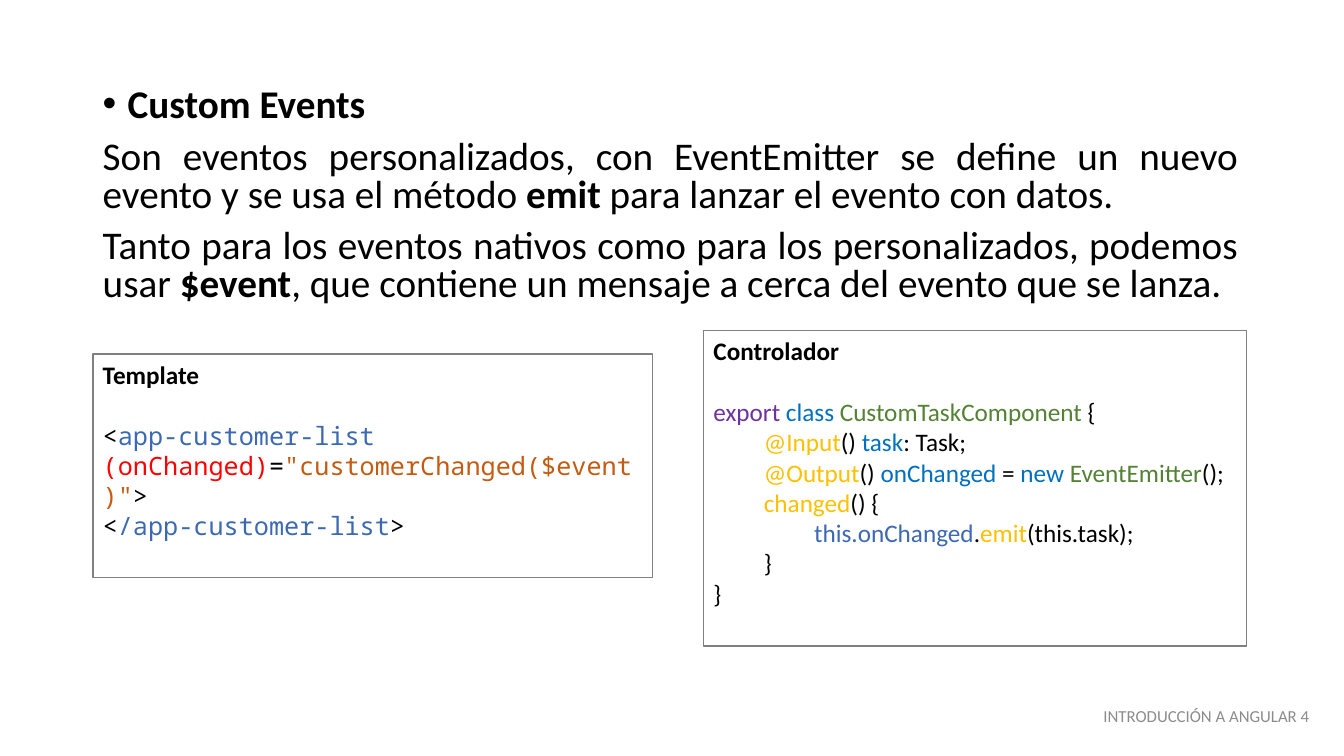
from lxml import etree
from pptx import Presentation
from pptx.dml.color import RGBColor
from pptx.enum.shapes import MSO_SHAPE
from pptx.enum.text import MSO_ANCHOR, PP_ALIGN
from pptx.oxml.ns import qn
from pptx.util import Cm, Pt

RECT = MSO_SHAPE.RECTANGLE
TOP, MIDDLE = MSO_ANCHOR.TOP, MSO_ANCHOR.MIDDLE
LEFT, RIGHT, JUSTIFY = PP_ALIGN.LEFT, PP_ALIGN.RIGHT, PP_ALIGN.JUSTIFY

THEME = {
    "font": "Calibri", "mono": "Noto Sans Mono",
    "body": 28, "code": 18, "foot": 12,
    "black": "000000", "white": "FFFFFF", "edge": "808080", "grey": "8C8C8C",
    "purple": "7030A0", "blue": "0070C0", "green": "548235", "gold": "FFC000",
    "navy": "3C69B3", "red": "FF0000", "rust": "C55A11",
}

# A run is (text, colour) or (text, colour, bold).
BODY = [
    [("Custom Events", "black", True)],
    [("Son eventos personalizados, con EventEmitter se define un nuevo evento "
      "y se usa el método ", "black"),
     ("emit ", "black", True),
     ("para lanzar el evento con datos.", "black")],
    [("Tanto para los eventos nativos como para los personalizados, podemos usar ",
      "black"),
     ("$event", "black", True),
     (", que contiene un mensaje a cerca del evento que se lanza.", "black")],
]
FOOTER = [("INTRODUCCIÓN A ANGULAR 4", "grey")]

# A code line is (indent level, runs).
CLASS = [
    (0, [("export ", "purple"), ("class ", "blue"),
         ("CustomTaskComponent", "green"), (" {", "black")]),
    (1, [("@Input", "gold"), ("() ", "black"), ("task", "blue"),
         (": Task;", "black")]),
    (1, [("@Output", "gold"), ("() ", "black"), ("onChanged", "blue"),
         (" = ", "black"), ("new ", "blue"), ("EventEmitter", "green"),
         ("();", "black")]),
    (1, [("changed", "gold"), ("() {", "black")]),
    (2, [("this.onChanged", "navy"), (".", "black"), ("emit", "gold"),
         ("(this.task);", "black")]),
    (1, [("}", "black")]),
    (0, [("}", "black")]),
]
MARKUP = [
    (0, [("<", "black"), ("app-customer-list ", "navy"), ("(onChanged)", "red"),
         ("=", "black"), ('"customerChanged($event)"', "rust"), (">", "black")]),
    (0, [("<", "black"), ("/app-customer-list", "navy"), (">", "black")]),
]
PANELS = [
    ("Controlador", CLASS, "font", (17.73, 8.33, 13.69, 7.95)),
    ("Template", MARKUP, "mono", (2.34, 8.92, 14.1, 5.64)),
]
BODY_AT = (2.34, 2.11, 29.11, 5.99)
FOOT_AT = (21.82, 17.53, 11.43, 1.02)
TAB = 1.27
HANG = 0.63
GAP = 22


def color(name):
    return RGBColor.from_string(THEME[name])


def fill_line(para, runs, size, font="font", align=LEFT):
    """Put styled runs into a paragraph."""
    para.alignment = align
    for text, tint, *bold in runs:
        run = para.add_run()
        run.text = text
        run.font.name = THEME[font]
        run.font.size = Pt(THEME[size])
        run.font.bold = bool(bold)
        run.font.color.rgb = color(tint)


def indent(para, left, first=0):
    props = para._p.get_or_add_pPr()
    props.set("marL", str(Cm(left)))
    props.set("indent", str(Cm(first)))
    return props


def add_lines(frame, count):
    """Return the given number of paragraphs of a frame."""
    for _ in range(count - 1):
        frame.add_paragraph()
    return frame.paragraphs


def add_text(slide, box, anchor=TOP):
    frame = slide.shapes.add_textbox(*map(Cm, box)).text_frame
    frame.word_wrap = True
    frame.vertical_anchor = anchor
    return frame


def add_body(slide):
    lines = add_lines(add_text(slide, BODY_AT), len(BODY))
    for para, runs in zip(lines, BODY):
        fill_line(para, runs, "body", align=JUSTIFY)
        para.line_spacing = 0.8
        para.space_before = Pt(10)
    props = indent(lines[0], HANG, -HANG)
    etree.SubElement(props, qn("a:buFont")).set("typeface", "Arial")
    etree.SubElement(props, qn("a:buChar")).set("char", "•")


def add_panel(slide, title, code, font, box):
    shape = slide.shapes.add_shape(RECT, *map(Cm, box))
    shape.shadow.inherit = False
    shape.fill.solid()
    shape.fill.fore_color.rgb = color("white")
    shape.line.color.rgb = color("edge")
    shape.line.width = Pt(1)
    frame = shape.text_frame
    frame.word_wrap = True
    frame.vertical_anchor = TOP
    head, *lines = add_lines(frame, len(code) + 1)
    fill_line(head, [(title, "black", True)], "code")
    head.space_after = Pt(GAP)
    for para, (level, runs) in zip(lines, code):
        fill_line(para, runs, "code", font)
        indent(para, level * TAB)


def main():
    deck = Presentation()
    deck.slide_width, deck.slide_height = Cm(33.87), Cm(19.05)
    slide = deck.slides.add_slide(deck.slide_layouts[6])
    add_body(slide)
    foot = add_text(slide, FOOT_AT, MIDDLE)
    fill_line(foot.paragraphs[0], FOOTER, "foot", align=RIGHT)
    for panel in PANELS:
        add_panel(slide, *panel)
    deck.save("out.pptx")


if __name__ == "__main__":
    main()
